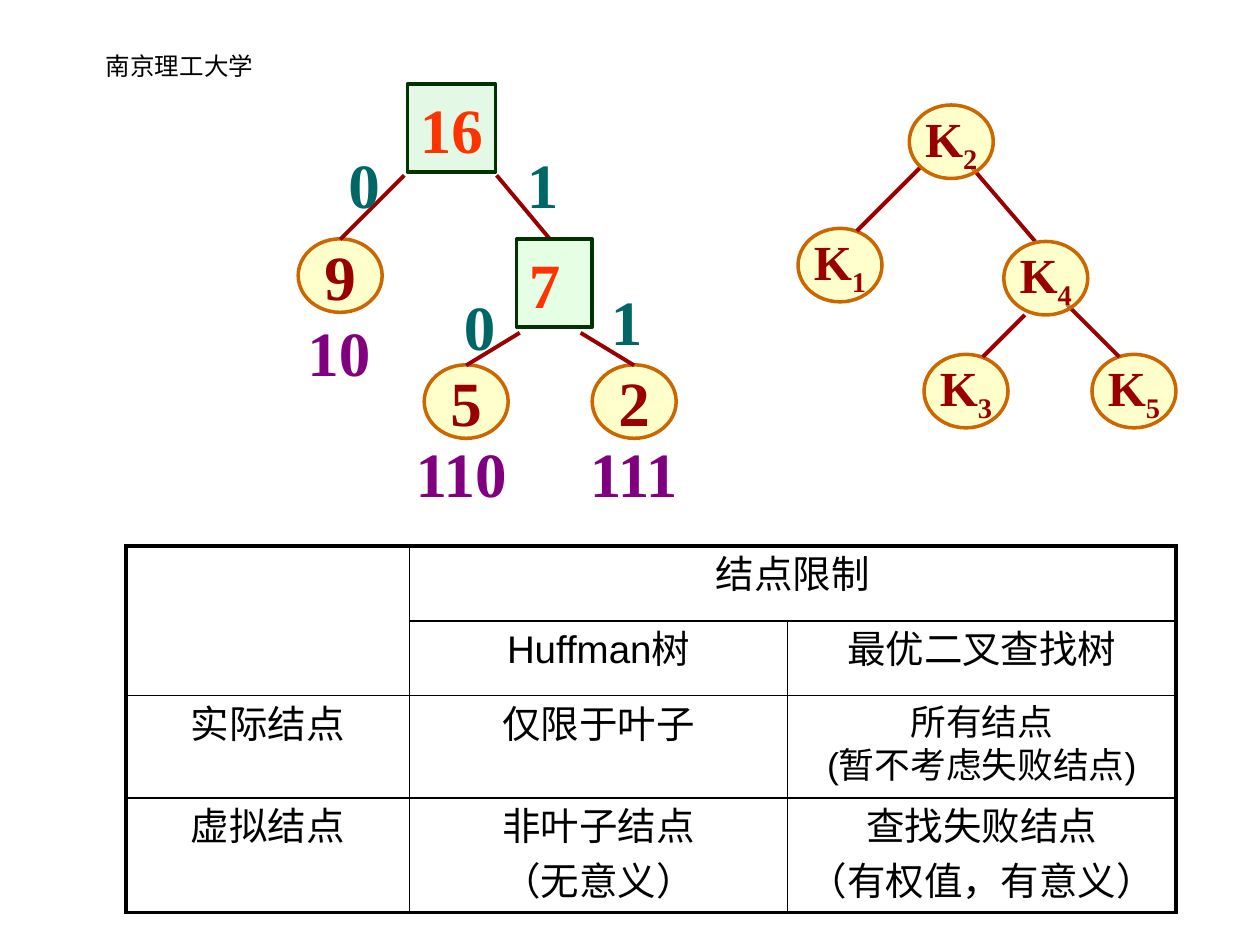
import pptx
import pptx.dml.color
import pptx.enum.shapes
import pptx.enum.text
import pptx.oxml.ns
import pptx.util
from lxml import etree

COLORS = {
    "black": "000000", "oval": "FFFF99", "oval_line": "CC6600", "key": "990000",
    "root": "CAF2CE", "square": "CCFFCC", "square_line": "003300",
    "weight": "FF3300", "bit": "006666", "code": "800080",
}
SERIF = "Times New Roman"
OVAL = pptx.enum.shapes.MSO_SHAPE.OVAL
SQUARE = pptx.enum.shapes.MSO_SHAPE.RECTANGLE
CENTER = pptx.enum.text.PP_ALIGN.CENTER
LEFT = pptx.enum.text.PP_ALIGN.LEFT
MIDDLE = pptx.enum.text.MSO_ANCHOR.MIDDLE
TOP = pptx.enum.text.MSO_ANCHOR.TOP
OVAL_SIZE = (8, 7)


def grid(*units):
    """Lengths on a grid of 120 columns by 90 rows, twelve to the inch."""
    return [pptx.util.Inches(unit / 12) for unit in units]


def rgb(name):
    return pptx.dml.color.RGBColor.from_string(COLORS[name])


def add_child(parent, tag, **attributes):
    return etree.SubElement(parent, pptx.oxml.ns.qn(tag), attributes)


def write_text(frame, text, size=36, color="black", font="Arial", bold=False,
               align=LEFT, gap=0, line_spacing=None):
    """Fill a frame; a newline starts a paragraph, "_" starts a subscript."""
    for index, line in enumerate(text.split("\n")):
        paragraph = frame.paragraphs[0] if index == 0 else frame.add_paragraph()
        paragraph.alignment = align
        paragraph.line_spacing = line_spacing
        if index:
            paragraph.space_before = pptx.util.Pt(gap)
        for part_index, part in enumerate(line.split("_")):
            for break_index, piece in enumerate(part.split("\v")):
                if break_index:
                    paragraph.add_line_break()
                run = paragraph.add_run()
                run.text = piece
                run.font.size = pptx.util.Pt(size)
                run.font.name = font
                run.font.bold = bold
                run.font.color.rgb = rgb(color)
                if part_index:
                    run.font._element.set("baseline", "-25000")


def add_label(slide, box, text, wrap=False, **text_format):
    frame = slide.shapes.add_textbox(*grid(*box)).text_frame
    frame.word_wrap = wrap
    write_text(frame, text, **text_format)


def add_node(slide, kind, box, text, fill, line, anchor=MIDDLE, wrap=False, **text_format):
    shape = slide.shapes.add_shape(kind, *grid(*box))
    shape.shadow.inherit = False
    shape.fill.solid()
    shape.fill.fore_color.rgb = rgb(fill)
    add_child(shape.fill._xPr.find(".//" + pptx.oxml.ns.qn("a:srgbClr")),
              "a:alpha", val="50000")
    shape.line.color.rgb = rgb(line)
    shape.line.width = pptx.util.Pt(2)
    shape.text_frame.word_wrap = wrap
    shape.text_frame.vertical_anchor = anchor
    write_text(shape.text_frame, text, font=SERIF, bold=True, **text_format)


def add_ovals(slide, left, top, ovals, size):
    for text, x, y in ovals:
        add_node(slide, OVAL, (left + x, top + y, *OVAL_SIZE), text, "oval", "oval_line",
                 size=size, color="key", align=CENTER)


def add_edges(slide, left, top, edges):
    for x1, y1, x2, y2 in edges:
        edge = slide.shapes.add_connector(
            pptx.enum.shapes.MSO_CONNECTOR.STRAIGHT,
            *grid(left + x1, top + y1, left + x2, top + y2))
        edge.line.color.rgb = rgb("key")
        edge.line.width = pptx.util.Pt(2.25)
        add_child(edge._element.spPr, "a:effectLst")


def build_huffman_tree(slide, left, top):
    add_ovals(slide, left, top, [("9", 0, 14.75), ("5", 12, 26.75), ("2", 28, 26.75)], 36)
    add_edges(slide, left, top, [(21.1, 23.7, 16, 26.8), (26.9, 23.7, 32, 26.8),
                                 (10.1, 8.7, 4, 14.8), (18.9, 8.7, 24, 14.8)])
    for text, x, y, width, fill, wrap in [("7", 20.8, 14.75, 7.2, "square", True),
                                          ("16", 10.4, 0, 8.4, "root", False)]:
        add_node(slide, SQUARE, (left + x, top + y, width, 8.4), text, fill,
                 "square_line", anchor=TOP, wrap=wrap, color="weight")
    labels = [
        ("0", 3.6, 5.3, 5.4, "bit"), ("0", 14.6, 18.8, 5.4, "bit"),
        ("1", 20.6, 5.3, 5.4, "bit"), ("1", 28.6, 18.3, 5.4, "bit"),
        ("10", -0.3, 21.3, 8.4, "code"), ("110", 10, 32.8, 11.4, "code"),
        ("111", 26.6, 32.8, 11.4, "code"),
    ]
    for text, x, y, width, color in labels:
        add_label(slide, (left + x, top + y, width, 8.4), text,
                  color=color, font=SERIF, bold=True)


def build_search_tree(slide, left, top):
    add_ovals(slide, left, top,
              [("K_1", 0, 11.75), ("K_3", 12, 23.75), ("K_5", 28, 23.75)], 28)
    add_edges(slide, left, top, [(21.6, 20, 17.6, 24), (25.6, 19, 30.6, 24),
                                 (11.6, 6, 5.6, 12), (16.6, 6, 22.6, 13)])
    add_ovals(slide, left, top, [("K_2", 10.6, 0), ("K_4", 19.6, 13)], 28)


def draw_borders(cell, outer_sides):
    for side in "LRTB":
        width = pptx.util.Pt(2.25 if side in outer_sides else 1)
        line = add_child(cell._tc.get_or_add_tcPr(), f"a:ln{side}", w=str(width))
        add_child(add_child(line, "a:solidFill"), "a:srgbClr", val=COLORS["black"])


def build_comparison(slide, left, top):
    columns, rows = (27, 36, 37), (7.13, 7.13, 9.72, 10.9)
    texts = [
        ["", "结点限制", ""],
        ["", "Huffman树", "最优二叉查找树"],
        ["实际结点", "仅限于叶子", "所有结点\v(暂不考虑失败结点)"],
        ["虚拟结点", "非叶子结点\n（无意义）", "查找失败结点\n（有权值，有意义）"],
    ]
    table = slide.shapes.add_table(
        len(rows), len(columns), *grid(left, top, sum(columns), sum(rows))).table
    table.first_row = table.horz_banding = False
    for column, width in zip(table.columns, grid(*columns)):
        column.width = width
    for row, height in zip(table.rows, grid(*rows)):
        row.height = height
    table.cell(0, 0).merge(table.cell(1, 0))
    table.cell(0, 1).merge(table.cell(0, 2))

    for row_index, row_texts in enumerate(texts):
        for column_index, text in enumerate(row_texts):
            cell = table.cell(row_index, column_index)
            last_column = column_index + cell.span_width == len(columns)
            last_row = row_index + cell.span_height == len(rows)
            draw_borders(cell, "L" * (column_index == 0) + "R" * last_column
                         + "T" * (row_index == 0) + "B" * last_row)
            cell.fill.background()
            cell.margin_bottom = pptx.util.Inches(0.02)
            if text:
                write_text(cell.text_frame, text, size=20.4 if "\v" in text else 22,
                           align=CENTER, gap=5.5, line_spacing=0.82)


def main():
    presentation = pptx.Presentation()
    presentation.slide_width, presentation.slide_height = grid(120, 90)
    slide = presentation.slides.add_slide(presentation.slide_layouts[6])
    add_label(slide, (-1.9, 4.3, 38, 6.2), "南京理工大学", wrap=True, size=14, align=CENTER)
    build_comparison(slide, 12, 52)
    build_huffman_tree(slide, 28.4, 8)
    build_search_tree(slide, 76, 10)
    presentation.save("out.pptx")


if __name__ == "__main__":
    main()
